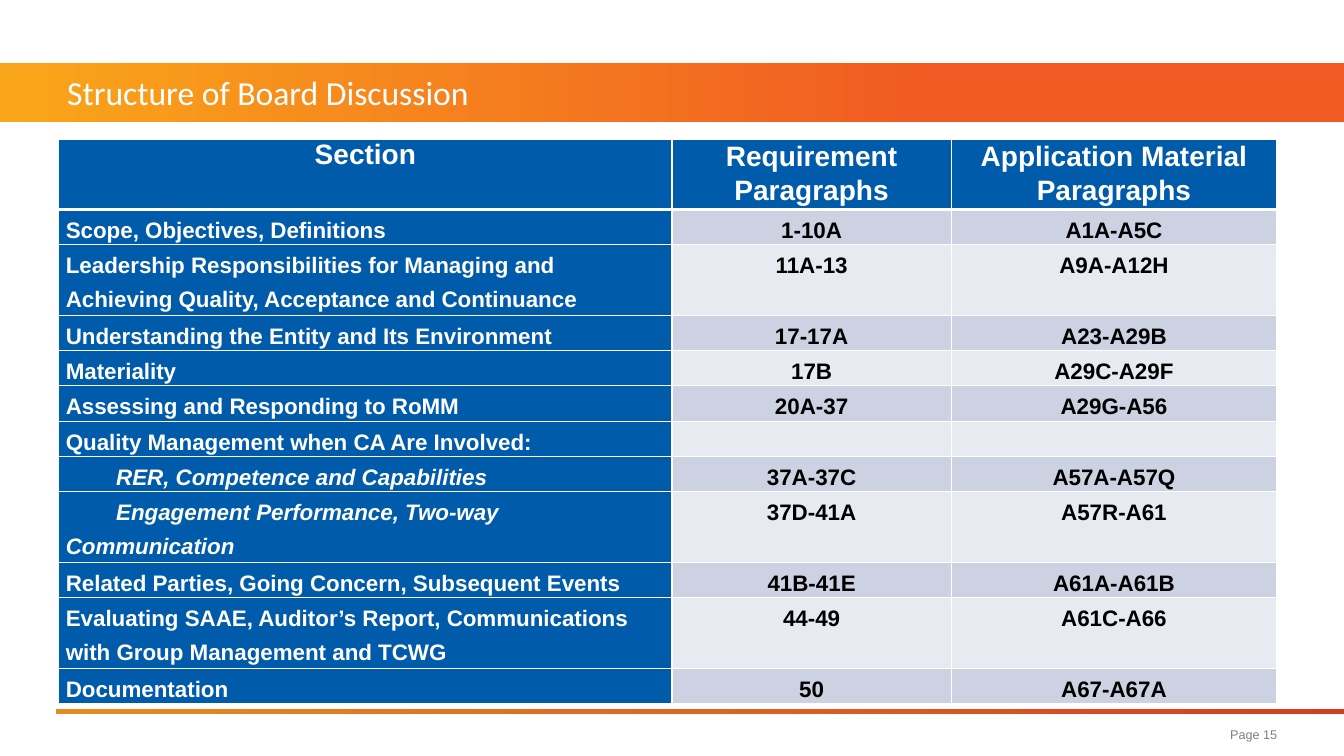
from dataclasses import dataclass

from lxml.etree import SubElement
from pptx import Presentation
from pptx.dml.color import RGBColor
from pptx.enum.shapes import MSO_SHAPE as Preset
from pptx.enum.text import MSO_ANCHOR as Anchor, MSO_AUTO_SIZE as AutoSize, PP_ALIGN as Align
from pptx.oxml.ns import qn
from pptx.util import Pt

COLORS = {
    "white": "FFFFFF",
    "black": "000000",
    "gray": "808080",
    "blue": "005BAA",
    "band_dark": "CCD2E2",
    "band_light": "E7EAF1",
    "amber": "FAA61A",
    "orange": "F15A22",
    "rule_start": "E58D23",
    "rule_end": "D53D20",
}
ROW_HEIGHT = 25.2
COLUMN_WIDTHS = (438, 199.5, 232.5)
HEADINGS = ("Section", "Requirement Paragraphs", "Application Material Paragraphs")


@dataclass(frozen=True)
class Box:
    left: float
    top: float
    width: float
    height: float

    def lengths(self) -> tuple:
        return Pt(self.left), Pt(self.top), Pt(self.width), Pt(self.height)


@dataclass(frozen=True)
class Band:
    box: Box
    start: str
    end: str
    end_position: float


@dataclass(frozen=True)
class TextStyle:
    size: float
    color: str
    font: str = "Arial"
    bold: bool = False
    italic: bool = False
    align: Align = Align.LEFT


@dataclass(frozen=True)
class Section:
    name: str
    requirements: str = ""
    application: str = ""
    lines: int = 1
    sub: bool = False


TITLE_BOX = Box(48, 44.75, 864, 42.25)
PAGE_BOX = Box(623, 512.75, 289.3, 24)
TABLE_BOX = Box(42, 99.25, sum(COLUMN_WIDTHS), 16 * ROW_HEIGHT)
BANDS = (
    Band(Box(0, 44.75, 960, 42.25), "amber", "orange", 0.7),
    Band(Box(40, 506.25, 920, 3.75), "rule_start", "rule_end", 1),
)
SECTIONS = (
    Section("Scope, Objectives, Definitions", "1-10A", "A1A-A5C"),
    Section("Leadership Responsibilities for Managing and Achieving Quality, "
            "Acceptance and Continuance", "11A-13", "A9A-A12H", lines=2),
    Section("Understanding the Entity and Its Environment", "17-17A", "A23-A29B"),
    Section("Materiality", "17B", "A29C-A29F"),
    Section("Assessing and Responding to RoMM", "20A-37", "A29G-A56"),
    Section("Quality Management when CA Are Involved:"),
    Section("RER, Competence and Capabilities", "37A-37C", "A57A-A57Q", sub=True),
    Section("Engagement Performance, Two-way Communication", "37D-41A", "A57R-A61",
            lines=2, sub=True),
    Section("Related Parties, Going Concern, Subsequent Events", "41B-41E", "A61A-A61B"),
    Section("Evaluating SAAE, Auditor’s Report, Communications with Group "
            "Management and TCWG", "44-49", "A61C-A66", lines=2),
    Section("Documentation", "50", "A67-A67A"),
)


def rgb(name: str) -> RGBColor:
    return RGBColor.from_string(COLORS[name])


def write(paragraph, text: str, style: TextStyle) -> None:
    paragraph.alignment = style.align
    if not text:
        paragraph.font.size = Pt(style.size)
        return
    run = paragraph.add_run()
    run.text = text
    font = run.font
    font.name, font.size = style.font, Pt(style.size)
    font.bold, font.italic = style.bold, style.italic
    font.color.rgb = rgb(style.color)


def prepare_frame(frame) -> None:
    frame.word_wrap = True
    frame.auto_size = AutoSize.NONE
    frame.vertical_anchor = Anchor.MIDDLE
    frame.margin_left = frame.margin_right = frame.margin_top = frame.margin_bottom = 0


def draw_band(slide, band: Band) -> None:
    bar = slide.shapes.add_shape(Preset.RECTANGLE, *band.box.lengths())
    bar.shadow.inherit = False
    bar.line.fill.background()
    bar.fill.gradient()
    bar.fill.gradient_angle = 0
    start, end = bar.fill.gradient_stops
    start.color.rgb, start.position = rgb(band.start), 0
    end.color.rgb, end.position = rgb(band.end), band.end_position
    slide.shapes.title.element.addprevious(bar.element)


def draw_title(slide) -> None:
    title = slide.shapes.title
    title.left, title.top, title.width, title.height = TITLE_BOX.lengths()
    prepare_frame(title.text_frame)
    write(title.text_frame.paragraphs[0], "Structure of Board Discussion",
          TextStyle(24, "white", font="Calibri"))


def draw_page_number(slide) -> None:
    page = slide.shapes.add_textbox(*PAGE_BOX.lengths())
    prepare_frame(page.text_frame)
    write(page.text_frame.paragraphs[0], "Page 15", TextStyle(9, "gray", align=Align.RIGHT))


def add_borders(cell, top: float, bottom: float) -> None:
    properties = cell._tc.get_or_add_tcPr()
    for side, width in (("L", 1), ("R", 1), ("T", top), ("B", bottom)):
        line = SubElement(properties, qn(f"a:ln{side}"), w=str(Pt(width)))
        SubElement(SubElement(line, qn("a:solidFill")), qn("a:srgbClr"), val=COLORS["white"])


def fill_cell(cell, text: str, style: TextStyle, fill: str, top: float = 1,
              bottom: float = 1, exact: bool = True, indent: float = 0) -> None:
    add_borders(cell, top, bottom)
    cell.fill.solid()
    cell.fill.fore_color.rgb = rgb(fill)
    cell.margin_left = cell.margin_right = Pt(5)
    cell.margin_top = cell.margin_bottom = 0
    cell.vertical_anchor = Anchor.TOP
    paragraph = cell.text_frame.paragraphs[0]
    if exact:
        paragraph.line_spacing = Pt(24)
    if indent:
        properties = paragraph._p.get_or_add_pPr()
        properties.set("marL", "0")
        properties.set("indent", str(Pt(indent)))
    write(paragraph, text, style)


def draw_table(slide) -> None:
    table = slide.shapes.add_table(len(SECTIONS) + 1, len(HEADINGS), *TABLE_BOX.lengths()).table
    for column, width in zip(table.columns, COLUMN_WIDTHS):
        column.width = Pt(width)

    table.rows[0].height = Pt(2 * ROW_HEIGHT)
    heading_style = TextStyle(20, "white", bold=True, align=Align.CENTER)
    for index, heading in enumerate(HEADINGS):
        fill_cell(table.cell(0, index), heading, heading_style, "blue", bottom=3, exact=index > 0)

    reference_style = TextStyle(16, "black", bold=True, align=Align.CENTER)
    for row, section in enumerate(SECTIONS, start=1):
        table.rows[row].height = Pt(section.lines * ROW_HEIGHT)
        top = 3 if row == 1 else 1
        name_style = TextStyle(16, "white", bold=True, italic=section.sub)
        fill_cell(table.cell(row, 0), section.name, name_style, "blue", top,
                  indent=36 if section.sub else 0)
        band = "band_dark" if row % 2 else "band_light"
        for column, reference in enumerate((section.requirements, section.application), start=1):
            fill_cell(table.cell(row, column), reference, reference_style, band, top)


def main() -> None:
    deck = Presentation()
    deck.slide_width, deck.slide_height = Pt(960), Pt(540)
    slide = deck.slides.add_slide(deck.slide_layouts[5])
    for band in BANDS:
        draw_band(slide, band)
    draw_title(slide)
    draw_page_number(slide)
    draw_table(slide)
    deck.save("out.pptx")


if __name__ == "__main__":
    main()
